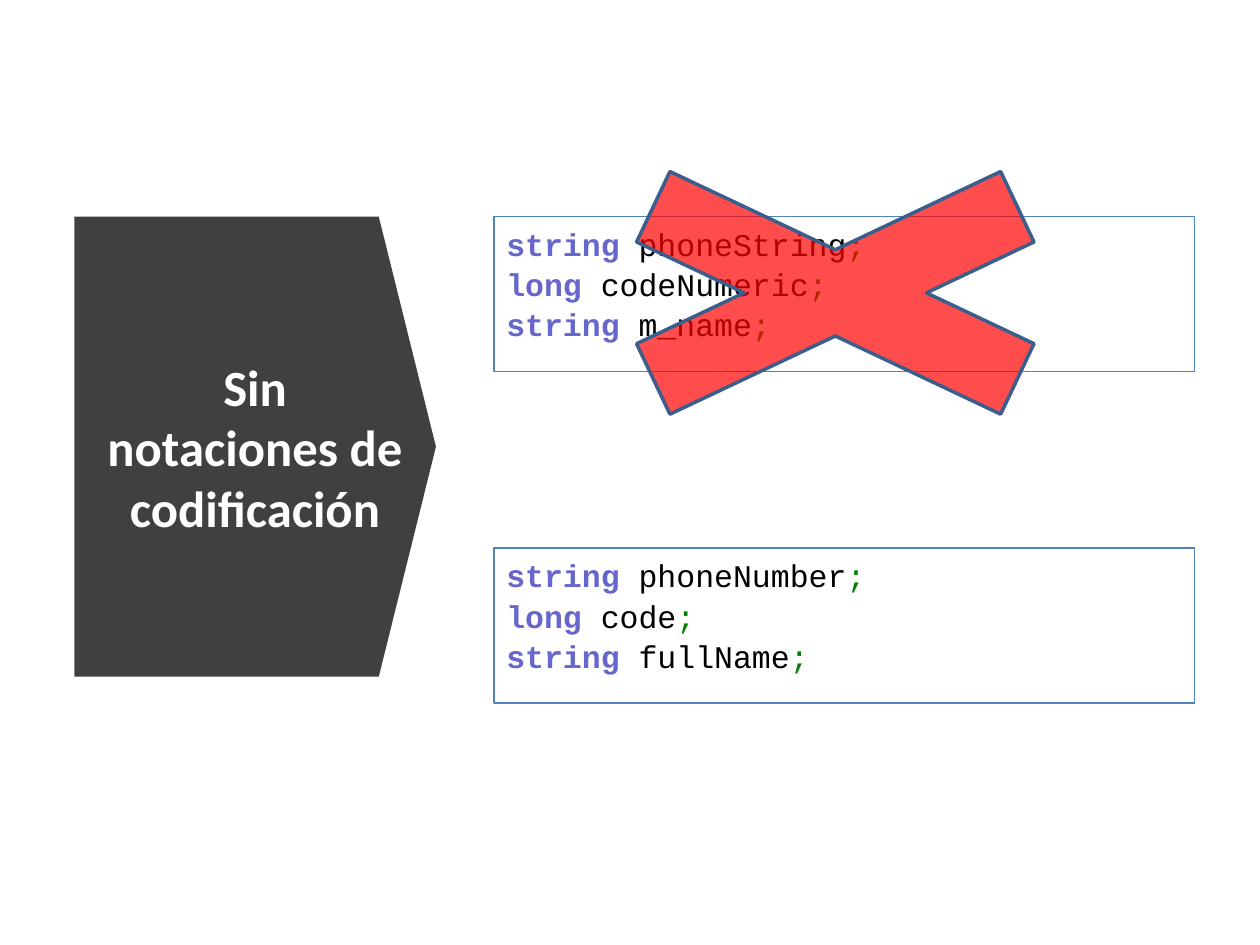
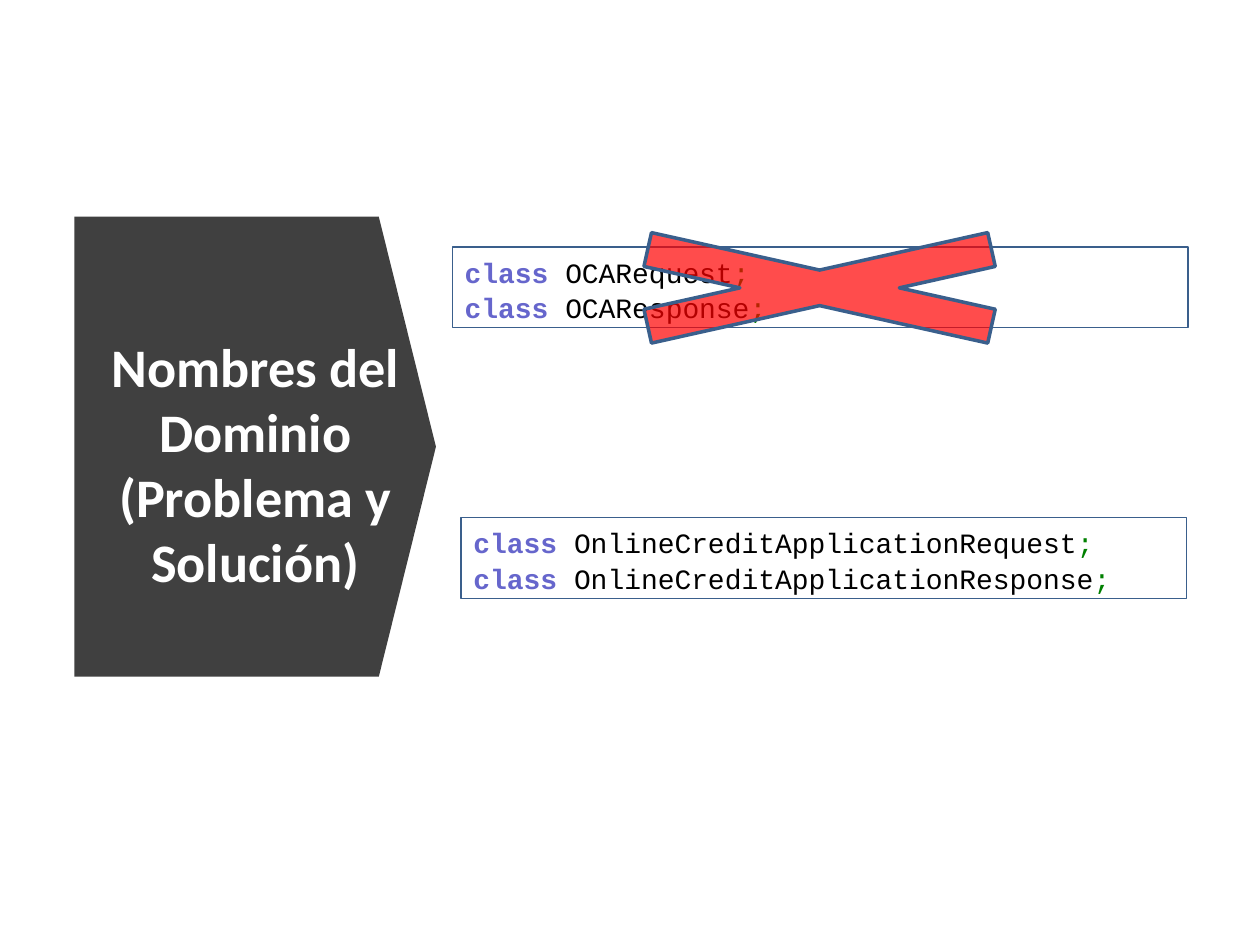
from lxml.etree import SubElement
from pptx import Presentation
from pptx.dml.color import RGBColor
from pptx.enum.shapes import MSO_SHAPE
from pptx.enum.text import MSO_ANCHOR, MSO_AUTO_SIZE, PP_ALIGN
from pptx.oxml.ns import qn
from pptx.util import Inches, Pt


def color(hex_string):
    return RGBColor.from_string(hex_string)


class NamingDeck:
    BAND, TITLE = "404040", "FFFFFF"
    KEYWORD, NAME, SYMBOL = "6666CC", "000000", "008000"
    CROSS, CROSS_LINE = "FF0000", "3A5F8C"
    TITLE_FONT, CODE_FONT = "Calibri", "Courier New"

    def __init__(self):
        self.deck = Presentation()
        self.deck.slide_width, self.deck.slide_height = Inches(10), Inches(7.5)
        self.slide = None

    def add_slide(self, title, size, top):
        """Start a slide with its title on the dark arrow band."""
        self.slide = self.deck.slides.add_slide(self.deck.slide_layouts[5])
        box = self.slide.shapes.title
        box.left, box.top = Inches(0.72), Inches(top)
        box.width, box.height = Inches(2.61), Inches(2.79)
        frame = box.text_frame
        frame.text = title
        frame.word_wrap = True
        frame.auto_size = MSO_AUTO_SIZE.NONE
        frame.vertical_anchor = MSO_ANCHOR.MIDDLE
        para = frame.paragraphs[0]
        para.alignment = PP_ALIGN.CENTER
        self.style(para.runs[0], self.TITLE_FONT, size, self.TITLE, True)
        # The band lies behind the title
        band = self.add_shape(MSO_SHAPE.DOWN_ARROW, 0.2, 2.11, 3.65, 2.87)
        band.rotation = 270
        band.adjustments[0], band.adjustments[1] = 1, 0.158
        band.fill.solid()
        band.fill.fore_color.rgb = color(self.BAND)
        band.line.fill.background()
        box.element.addprevious(band.element)

    def add_shape(self, kind, left, top, width, height):
        shape = self.slide.shapes.add_shape(
            kind, Inches(left), Inches(top), Inches(width), Inches(height))
        shape.shadow.inherit = False
        return shape

    def style(self, span, font, size, hex_string, bold):
        span.font.name, span.font.size = font, Pt(size)
        span.font.bold = bold
        span.font.color.rgb = color(hex_string)

    def add_code(self, left, top, width, height, declarations, size, line):
        """Framed code; each declaration is a keyword and a name."""
        box = self.add_shape(MSO_SHAPE.RECTANGLE, left, top, width, height)
        box.fill.background()
        box.line.color.rgb, box.line.width = color(line), Pt(0.75)
        frame = box.text_frame
        frame.word_wrap = True
        frame.vertical_anchor = MSO_ANCHOR.TOP
        para = frame.paragraphs[0]
        para.alignment = PP_ALIGN.LEFT
        para.line_spacing = 1.06
        for index, declaration in enumerate(declarations):
            if index:
                para.add_line_break()
            keyword, name = declaration.split()
            for text, hex_string, bold in ((keyword + " ", self.KEYWORD, True),
                                           (name, self.NAME, False),
                                           (";", self.SYMBOL, False)):
                span = para.add_run()
                span.text = text
                self.style(span, self.CODE_FONT, size, hex_string, bold)

    def add_cross(self, left, top, width, height):
        """Translucent cross over the code to avoid."""
        cross = self.add_shape(MSO_SHAPE.MATH_MULTIPLY, left, top, width, height)
        cross.fill.solid()
        cross.fill.fore_color.rgb = color(self.CROSS)
        tint = cross.element.spPr.find(qn("a:solidFill")).find(qn("a:srgbClr"))
        SubElement(tint, qn("a:alpha")).set("val", "70000")
        cross.line.color.rgb, cross.line.width = color(self.CROSS_LINE), Pt(2)


def main():
    naming = NamingDeck()

    # Names without type or scope prefixes
    naming.add_slide("Sin notaciones de codificación", 29, 2.15)
    for top, declarations in (
            (1.72, ("string phoneString", "long codeNumeric", "string m_name")),
            (4.35, ("string phoneNumber", "long code", "string fullName"))):
        naming.add_code(3.92, top, 5.56, 1.23, declarations, 18, "4F81BD")
    naming.add_cross(3.85, 1.01, 5.56, 2.63)

    # Names from the domain
    naming.add_slide("Nombres del Dominio (Problema y Solución)", 31, 2.28)
    for left, top, width, prefix in ((3.59, 1.96, 5.84, "OCA"),
                                     (3.66, 4.11, 5.76, "OnlineCreditApplication")):
        declarations = [f"class {prefix}{part}" for part in ("Request", "Response")]
        naming.add_code(left, top, width, 0.64, declarations, 16, naming.CROSS_LINE)
    naming.add_cross(3.88, 1.7, 5.25, 1.17)

    naming.deck.save("out.pptx")


if __name__ == "__main__":
    main()
